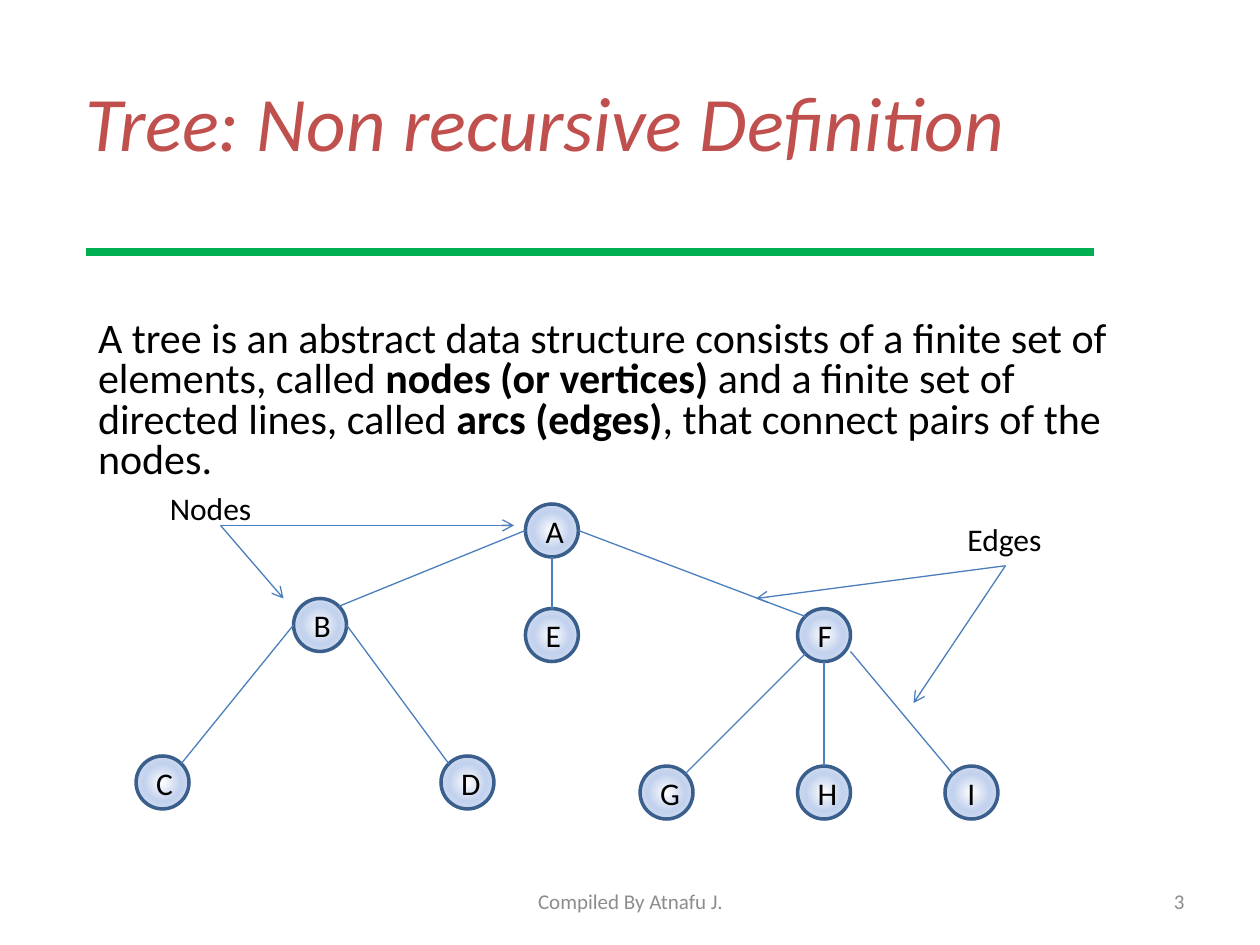
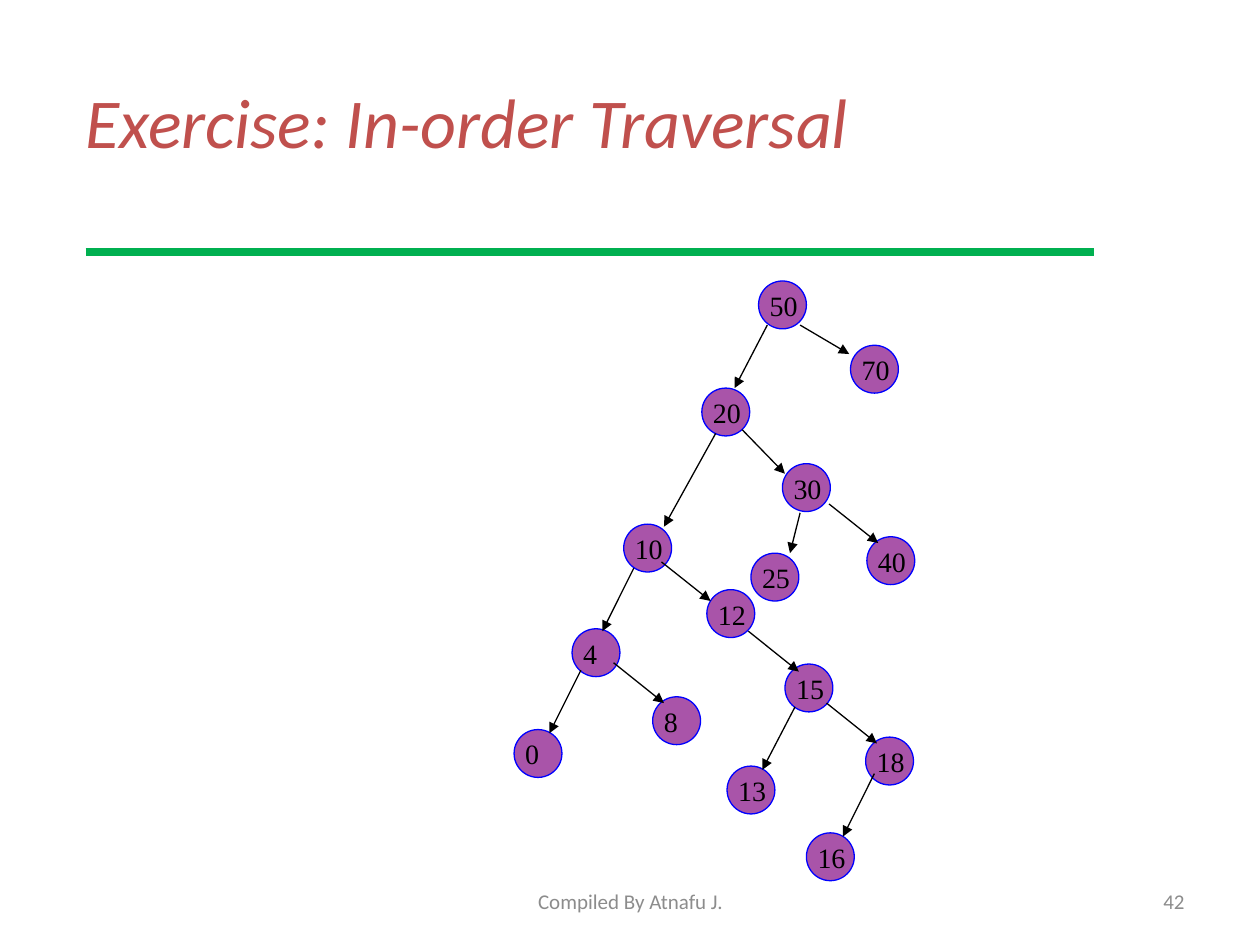
import lxml.etree
import pptx
import pptx.dml.color
import pptx.enum.shapes
import pptx.enum.text
import pptx.oxml
import pptx.oxml.ns
import pptx.util

Inches = pptx.util.Inches
Pt = pptx.util.Pt
RGB = pptx.dml.color.RGBColor.from_string
ALIGN = pptx.enum.text.PP_ALIGN
ANCHOR = pptx.enum.text.MSO_ANCHOR
OVAL = pptx.enum.shapes.MSO_SHAPE.OVAL
qn = pptx.oxml.ns.qn

COLORS = {
    "title": "C0504D", "rule": "00B050", "text": "000000", "footer": "8C8C8C",
    "edge": "4B7EBC", "node_line": "3A5F8C", "node_center": "FFFFFF",
    "node_middle": "C2D1ED", "node_rim": "E1E8F5",
    "purple": "800080", "purple_line": "0000FF", "arrow": "000000",
}


def add_text(target, runs, box=None, size=18, font="Calibri", color="text",
             italic=False, align=ALIGN.LEFT, anchor=ANCHOR.TOP, wrap=True, spacing=None):
    """Fill a shape, or a new text box on a slide when box is given; runs is text or (text, bold) pairs."""
    shape = target.shapes.add_textbox(*map(Inches, box)) if box else target
    frame = shape.text_frame
    frame.word_wrap = wrap
    frame.vertical_anchor = anchor
    paragraph = frame.paragraphs[0]
    paragraph.alignment = align
    if spacing:
        paragraph.line_spacing = spacing
    for text, bold in [(runs, False)] if isinstance(runs, str) else runs:
        run = paragraph.add_run()
        run.text = text
        run.font.size = Pt(size)
        run.font.name = font
        run.font.bold = bold
        run.font.italic = italic
        run.font.color.rgb = RGB(COLORS[color])


def add_line(slide, start, end, color, width=0.75, head=None):
    connector = slide.shapes.add_connector(
        pptx.enum.shapes.MSO_CONNECTOR.STRAIGHT, *map(Inches, (*start, *end)))
    connector.line.color.rgb = RGB(COLORS[color])
    connector.line.width = Pt(width)
    if head:
        lxml.etree.SubElement(connector.line._get_or_add_ln(), qn("a:tailEnd"), type=head)
    lxml.etree.SubElement(connector._element.spPr, qn("a:effectLst"))


presentation = pptx.Presentation()
presentation.slide_width = Inches(10)
presentation.slide_height = Inches(7.5)

# Title, rule and footer shared by both slides
slides = []
for title, title_size, number in [("Tree: Non recursive Definition", 44, "3"),
                                  ("Exercise: In-order Traversal", 40, "42")]:
    slide = presentation.slides.add_slide(presentation.slide_layouts[6])
    add_text(slide, title, (0.58, 0.33, 9, 1.25), size=title_size, color="title",
             italic=True, anchor=ANCHOR.MIDDLE)
    add_line(slide, (0.68, 2), (8.68, 2), "rule", 4.25)
    for text, box, align in [(number, (7.17, 6.95, 2.33, 0.4), ALIGN.RIGHT),
                             ("Compiled By Atnafu J.", (3.42, 6.95, 3.17, 0.4), ALIGN.CENTER)]:
        add_text(slide, text, box, size=12, color="footer", align=align, anchor=ANCHOR.MIDDLE)
    slides.append(slide)
definition_slide, exercise_slide = slides

# Definition of a tree
add_text(definition_slide, [
    ("A tree is an abstract data structure consists of a finite set of elements, called ", False),
    ("nodes (or vertices)", True),
    (" and a finite set of directed lines, called ", False),
    ("arcs (edges)", True),
    (", that connect pairs of the nodes.", False),
], (0.68, 2.5, 8.5, 4.5), size=24, spacing=0.8)

callouts = [
    ("Edges", (7.58, 4.08, 0.8, 0.4), (7.98, 4.49), [(6, 4.75), (7.25, 5.58)]),
    ("Nodes", (1.25, 3.83, 0.86, 0.4), (1.75, 4.17), [(2.25, 4.75), (4.08, 4.17)]),
]
for label, box, start, ends in callouts:
    add_text(definition_slide, label, box, wrap=False)
    for end in ends:
        add_line(definition_slide, start, end, "edge", head="arrow")

NODE_SIZE = 0.42
letter_nodes = {
    "A": (4.17, 4), "B": (2.33, 4.75), "C": (1.08, 6), "D": (3.5, 6), "E": (4.17, 4.83),
    "F": (6.33, 4.83), "G": (5.08, 6.08), "H": (6.33, 6.08), "I": (7.5, 6.08),
}
gradient_stops = "".join(
    f'<a:gs pos="{position}"><a:srgbClr val="{COLORS[name]}"/></a:gs>'
    for position, name in [(0, "node_center"), (50000, "node_middle"), (100000, "node_rim")])
gradient_xml = (
    '<a:gradFill xmlns:a="http://schemas.openxmlformats.org/drawingml/2006/main" rotWithShape="1">'
    f'<a:gsLst>{gradient_stops}</a:gsLst><a:path path="circle">'
    '<a:fillToRect l="50000" t="50000" r="50000" b="50000"/></a:path></a:gradFill>')
for letter, (left, top) in letter_nodes.items():
    node = definition_slide.shapes.add_shape(
        OVAL, *map(Inches, (left, top, NODE_SIZE, NODE_SIZE)))
    node.shadow.inherit = False
    node.fill.background()
    properties = node._element.spPr
    properties.replace(properties.find(qn("a:noFill")), pptx.oxml.parse_xml(gradient_xml))
    node.line.color.rgb = RGB(COLORS["node_line"])
    node.line.width = Pt(2)
    add_text(node, letter, align=ALIGN.CENTER, anchor=ANCHOR.MIDDLE)

# Points on a node's rim, as fractions of its size
rim = {
    "top": (0.5, 0), "bottom": (0.5, 1), "left": (0, 0.5), "right": (1, 0.5),
    "top left": (0.15, 0.15), "top right": (0.85, 0.15), "bottom left": (0.15, 0.85),
    "lower right": (1, 0.81),
}
tree_edges = [
    ("A", "left", "B", "top right"), ("A", "right", "F", "top left"), ("A", "bottom", "E", "top"),
    ("B", "left", "C", "top right"), ("B", "right", "D", "top left"),
    ("F", "bottom left", "G", "top right"), ("F", "bottom", "H", "top"),
    ("F", "lower right", "I", "top left"),
]
for parent, parent_side, child, child_side in tree_edges:
    start, end = [
        [corner + NODE_SIZE * share for corner, share in zip(letter_nodes[letter], rim[side])]
        for letter, side in [(parent, parent_side), (child, child_side)]]
    add_line(definition_slide, start, end, "edge")

# Binary search tree for the in-order exercise
number_nodes = {
    20: (5.57, 3.08), 50: (6.02, 2.23), 10: (4.95, 4.16), 4: (4.54, 4.99), 8: (5.18, 5.53),
    30: (6.21, 3.68), 0: (4.08, 5.79), 12: (5.61, 4.68), 15: (6.23, 5.27), 18: (6.87, 5.85),
    13: (5.77, 6.08), 16: (6.4, 6.61), 40: (6.88, 4.26), 25: (5.96, 4.39), 70: (6.75, 2.74),
}
for value, (left, top) in number_nodes.items():
    node = exercise_slide.shapes.add_shape(OVAL, *map(Inches, (left, top, 0.38, 0.38)))
    node.shadow.inherit = False
    node.fill.solid()
    node.fill.fore_color.rgb = RGB(COLORS["purple"])
    fill_color = node._element.spPr.find(qn("a:solidFill")).find(qn("a:srgbClr"))
    lxml.etree.SubElement(fill_color, qn("a:alpha"), val="67000")
    node.line.color.rgb = RGB(COLORS["purple_line"])
    node.line.width = Pt(0.75)
    add_text(exercise_slide, str(value), (left - 0.01, top + 0.01, 0.5, 0.38),
             size=16, font="Times New Roman")

child_arrows = [
    ((6.09, 2.58), (5.83, 3.08)), ((6.35, 2.58), (6.74, 2.81)),
    ((5.68, 3.44), (5.27, 4.18)), ((5.89, 3.41), (6.23, 3.76)),
    ((6.35, 4.07), (6.27, 4.39)), ((6.58, 4), (6.97, 4.31)),
    ((5.03, 4.51), (4.78, 5.01)), ((5.25, 4.46), (5.64, 4.77)),
    ((4.61, 5.32), (4.36, 5.82)), ((4.87, 5.26), (5.27, 5.58)),
    ((5.94, 5.01), (6.34, 5.33)),
    ((6.31, 5.61), (6.05, 6.11)), ((6.56, 5.58), (6.96, 5.9)),
    ((6.94, 6.14), (6.69, 6.64)),
]
for start, end in child_arrows:
    add_line(exercise_slide, start, end, "arrow", head="triangle")

presentation.save("out.pptx")
